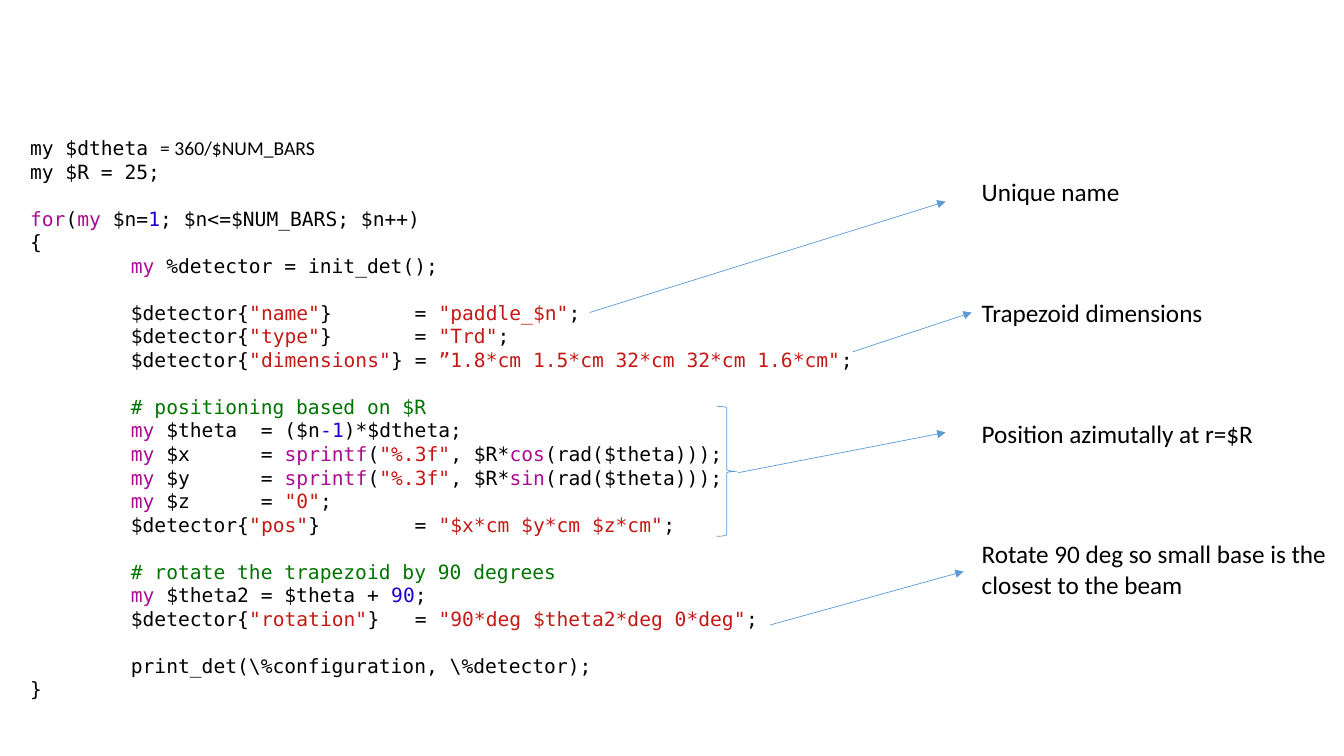
from pptx import Presentation
from pptx.dml.color import RGBColor
from pptx.enum.shapes import MSO_CONNECTOR, MSO_SHAPE
from pptx.oxml.ns import qn
from pptx.util import Pt
from lxml.etree import SubElement

MONO, SANS = "DejaVu Sans Mono", "Calibri"
BLACK, BLUE = "000000", "5B9BD5"
KEYWORD, NUMBER, STRING, COMMENT = "AA0D91", "1C00CF", "C41A16", "007400"
TOKEN_COLORS = {'"': STRING, "\u201d": STRING, "#": COMMENT, "=": BLACK,
                "-": NUMBER, "1": NUMBER, "9": NUMBER}

CODE_BLOCKS = [
    ["\tmy $dtheta |= 360/$NUM_BARS|",
     "\tmy $R = 25;"],
    ["\t|for|(|my| $n=|1|; $n<=$NUM_BARS; $n++)",
     "\t{",
     "\t\t|my| %detector = init_det();"],
    ['\t\t$detector{|"name"|}       = |"paddle_$n"|;',
     '\t\t$detector{|"type"|}       = |"Trd"|;',
     '\t\t$detector{|"dimensions"|} = |\u201d1.8*cm 1.5*cm 32*cm 32*cm 1.6*cm"|;'],
    ["\t\t|# positioning based on $R|",
     "\t\t|my| $theta  = ($n|-1|)*$dtheta;",
     '\t\t|my| $x      = |sprintf|(|"%.3f"|, $R*|cos|(rad($theta)));',
     '\t\t|my| $y      = |sprintf|(|"%.3f"|, $R*|sin|(rad($theta)));',
     '\t\t|my| $z      = |"0"|;',
     '\t\t$detector{|"pos"|}        = |"$x*cm $y*cm $z*cm"|;'],
    ["\t\t|# rotate the trapezoid by 90 degrees|",
     "\t\t|my| $theta2 = $theta + |90|;",
     '\t\t$detector{|"rotation"|}   = |"90*deg $theta2*deg 0*deg"|;'],
    ["\t\tprint_det(\\%configuration, \\%detector);",
     "\t}"],
]
NOTES = ["Unique name", "Trapezoid dimensions", "Position azimutally at r=$R",
         "Rotate 90 deg so small base is the closest to the beam"]
ARROWS = [(421.2, 223.2, 675.4, 144), (609.1, 251.3, 694.1, 223.2),
          (527, 337.7, 675.4, 308.9), (550.1, 446.4, 688.3, 408.2)]
CODE_PITCH = 16.8
CODE_INDENT = 72
NOTE_GAP = 64.7


def rgb(value):
    return RGBColor.from_string(value)


def add_text_frame(left, top, width, height):
    box = page.shapes.add_textbox(Pt(left), Pt(top), Pt(width), Pt(height))
    box.text_frame.word_wrap = True
    return box.text_frame


deck = Presentation()
deck.slide_width, deck.slide_height = Pt(960), Pt(540)
page = deck.slides.add_slide(deck.slide_layouts[6])

code = add_text_frame(-57.6, 93.6, 706.3, 414.7)
para = code.paragraphs[0]
for block_index, block in enumerate(CODE_BLOCKS):
    for line_index, line in enumerate(block):
        if block_index or line_index:
            para = code.add_paragraph()
        para.line_spacing = Pt(CODE_PITCH)
        if block_index and not line_index:
            para.space_before = Pt(CODE_PITCH)
        para.font.size = Pt(14)
        indent = Pt(CODE_INDENT * line.count("\t"))
        para._p.get_or_add_pPr().set("marL", str(indent))
        for index, token in enumerate(line.lstrip("\t").split("|")):
            if not token:
                continue
            span = para.add_run()
            span.text = token
            marked = index % 2 == 1
            color = TOKEN_COLORS.get(token[0], KEYWORD) if marked else BLACK
            span.font.color.rgb = rgb(color)
            span.font.name = SANS if marked and token[0] == "=" else MONO

notes = add_text_frame(694.1, 122.4, 265.7, 312.5)
for index, note in enumerate(NOTES):
    para = notes.add_paragraph() if index else notes.paragraphs[0]
    para.text = note
    para.space_before = Pt(NOTE_GAP if index else 0)
    para.font.size = Pt(18)
    para.font.name = SANS
    para.font.color.rgb = rgb(BLACK)

for ends in ARROWS:
    arrow = page.shapes.add_connector(MSO_CONNECTOR.STRAIGHT, *map(Pt, ends))
    arrow.line.color.rgb = rgb(BLUE)
    arrow.line.width = Pt(0.5)
    SubElement(arrow.line._get_or_add_ln(), qn("a:tailEnd"), type="triangle")
    SubElement(arrow._element.spPr, qn("a:effectLst"))

brace = page.shapes.add_shape(MSO_SHAPE.RIGHT_BRACE, Pt(511.9), Pt(290.2), Pt(14.4), Pt(92.9))
brace.shadow.inherit = False
brace.fill.background()
brace.line.color.rgb = rgb(BLUE)
brace.line.width = Pt(0.5)

deck.save("out.pptx")
